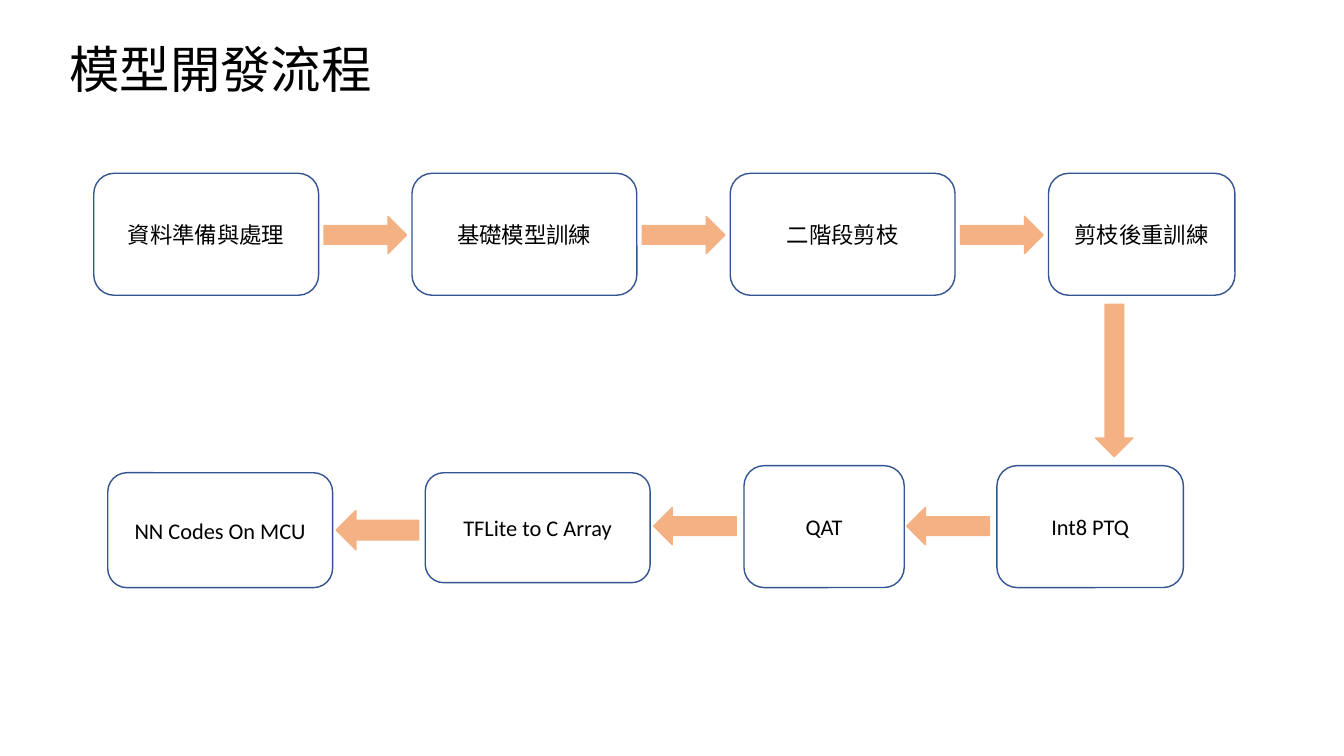
from dataclasses import dataclass

from lxml import etree
from pptx import Presentation
from pptx.dml.color import RGBColor
from pptx.enum.shapes import MSO_SHAPE
from pptx.enum.text import MSO_ANCHOR, PP_ALIGN
from pptx.oxml.ns import qn
from pptx.shapes.autoshape import Shape
from pptx.slide import Slide
from pptx.util import Pt

ROUNDED = MSO_SHAPE.ROUNDED_RECTANGLE
DOWN_ARROW = MSO_SHAPE.DOWN_ARROW
MIDDLE = MSO_ANCHOR.MIDDLE
CENTER = PP_ALIGN.CENTER
LEFT = PP_ALIGN.LEFT

BLACK = "000000"
BLUE = "325491"
ORANGE = "F4B183"

TOP_LEFT, TOP_PITCH, TOP_Y = 67, 227.3, 123.8
WIDE, MEDIUM, NARROW, TALL = 160.6, 133.2, 114.5, 87.1
RIGHTWARD, DOWNWARD, LEFTWARD = 270, 0, 90


@dataclass
class Step:
    label: str
    left: float
    top: float
    width: float
    height: float = TALL


@dataclass
class Arrow:
    center_x: float
    center_y: float
    rotation: int
    length: float = 59
    thickness: float = 26.6


TOP_STEPS = [
    Step(label, TOP_LEFT + TOP_PITCH * index, TOP_Y, width)
    for index, (label, width) in enumerate([
        ("資料準備與處理", WIDE),
        ("基礎模型訓練", WIDE),
        ("二階段剪枝", WIDE),
        ("剪枝後重訓練", MEDIUM),
    ])
]
BOTTOM_STEPS = [
    Step("Int8 PTQ", 712.1, 332.6, MEDIUM),
    Step("QAT", 531.4, 332.6, NARROW),
    Step("TFLite to C Array", 303.8, 337.7, WIDE, 78.5),
    Step("NN Codes On MCU", 77, 337.7, WIDE, 82.1),
]
ARROWS = [
    *(Arrow(261 + TOP_PITCH * index, 167.8, RIGHTWARD) for index in range(3)),
    Arrow(796, 271.8, DOWNWARD, length=108.7),
    Arrow(677.2, 375.8, LEFTWARD),
    Arrow(496.4, 375.8, LEFTWARD),
    Arrow(269.6, 378.7, LEFTWARD, thickness=28.1),
]


def color(value: str) -> RGBColor:
    return RGBColor.from_string(value)


def write_text(box: Shape, text: str, font: str, size: float, align: PP_ALIGN) -> None:
    frame = box.text_frame
    frame.word_wrap = True
    frame.vertical_anchor = MIDDLE
    para = frame.paragraphs[0]
    para.alignment = align
    span = para.add_run()
    span.text = text
    for name, value in {"name": font, "size": Pt(size)}.items():
        setattr(span.font, name, value)
    span.font.color.rgb = color(BLACK)


def outline(shape: Shape, line_color: str) -> None:
    shape.shadow.inherit = False
    shape.line.color.rgb = color(line_color)
    shape.line.width = Pt(1)


def draw_title(page: Slide, text: str) -> None:
    box = page.shapes.add_textbox(Pt(42.5), Pt(18.7), Pt(881.3), Pt(66.2))
    font = "Noto Sans CJK SC"
    write_text(box, text, font, 36, LEFT)
    para = box.text_frame.paragraphs[0]
    para.line_spacing = 0.9
    latin = para.runs[0].font._element.find(qn("a:latin"))
    east_asian = etree.Element(qn("a:ea"), typeface=font)
    latin.addnext(east_asian)


def draw_step(page: Slide, step: Step) -> None:
    box = page.shapes.add_shape(
        ROUNDED, Pt(step.left), Pt(step.top), Pt(step.width), Pt(step.height)
    )
    box.fill.background()
    outline(box, BLUE)
    write_text(box, step.label, "Calibri", 16, CENTER)


def draw_arrow(page: Slide, arrow: Arrow) -> None:
    shape = page.shapes.add_shape(
        DOWN_ARROW,
        Pt(arrow.center_x - arrow.thickness / 2),
        Pt(arrow.center_y - arrow.length / 2),
        Pt(arrow.thickness),
        Pt(arrow.length),
    )
    shape.rotation = arrow.rotation
    shape.fill.solid()
    shape.fill.fore_color.rgb = color(ORANGE)
    outline(shape, ORANGE)


def main() -> None:
    deck = Presentation()
    deck.slide_width = Pt(960)
    deck.slide_height = Pt(540)
    page = deck.slides.add_slide(deck.slide_layouts[6])
    draw_title(page, "模型開發流程")
    for step in TOP_STEPS + BOTTOM_STEPS:
        draw_step(page, step)
    for arrow in ARROWS:
        draw_arrow(page, arrow)
    deck.save("out.pptx")


if __name__ == "__main__":
    main()
